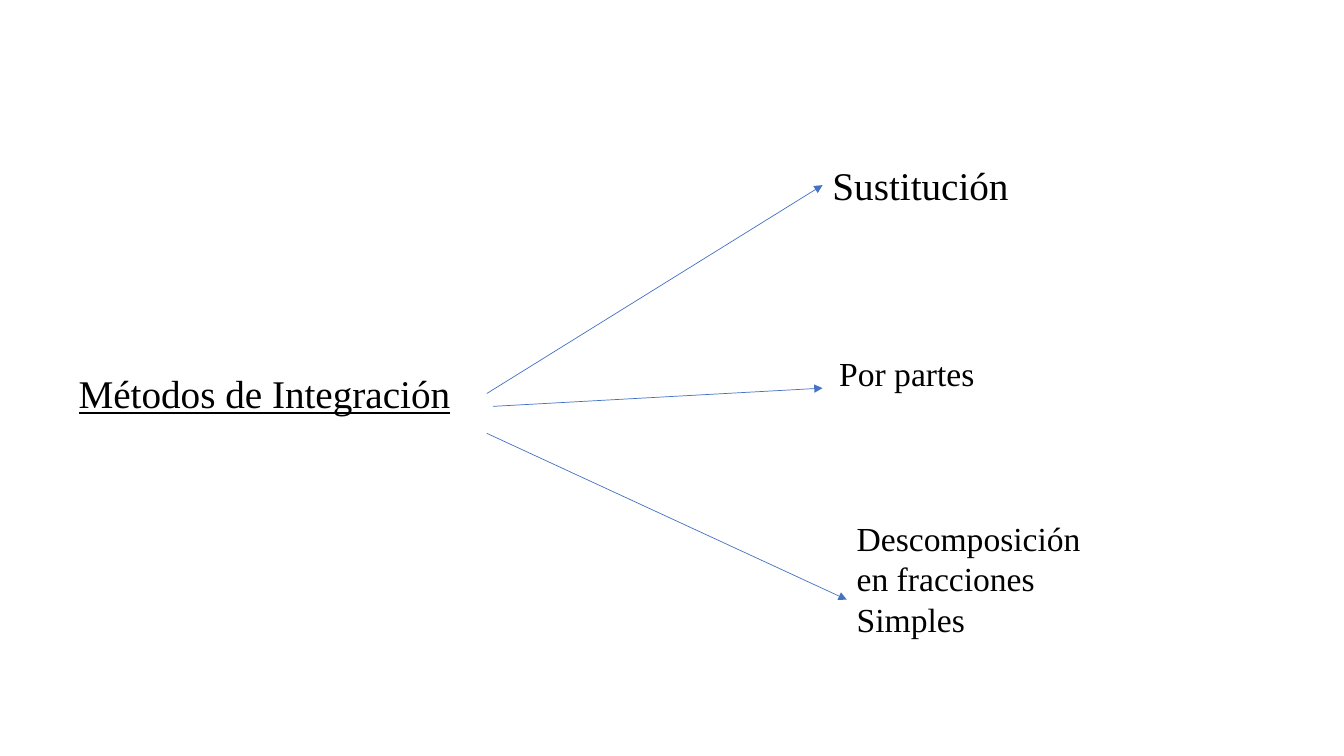
from dataclasses import dataclass

import pptx
import pptx.dml.color
import pptx.enum.shapes
import pptx.oxml
import pptx.oxml.ns
import pptx.util

Cm = pptx.util.Cm
Pt = pptx.util.Pt


@dataclass(frozen=True)
class Theme:
    font: str = "Times New Roman"
    text: str = "000000"
    arrow: str = "4472C4"
    large: int = 28
    medium: int = 24
    arrow_width: float = 0.5


THEME = Theme()


def add_label(slide, box, lines, size, underline=None):
    shape = slide.shapes.add_textbox(*map(Cm, box))
    frame = shape.text_frame
    frame.word_wrap = True
    frame.text = "\n".join(lines)
    for paragraph in frame.paragraphs:
        paragraph.font.name = THEME.font
        paragraph.font.size = Pt(size)
        paragraph.font.underline = underline
        paragraph.font.color.rgb = pptx.dml.color.RGBColor.from_string(THEME.text)
    return shape


def add_arrow(slide, start, end):
    connector = slide.shapes.add_connector(
        pptx.enum.shapes.MSO_CONNECTOR.STRAIGHT, *map(Cm, start + end)
    )
    connector.line.color.rgb = pptx.dml.color.RGBColor.from_string(THEME.arrow)
    connector.line.width = Pt(THEME.arrow_width)
    properties = connector.line._get_or_add_ln()
    head = pptx.oxml.parse_xml(
        f'<a:tailEnd {pptx.oxml.ns.nsdecls("a")} type="triangle"/>'
    )
    properties.append(head)
    effects = pptx.oxml.parse_xml(f'<a:effectLst {pptx.oxml.ns.nsdecls("a")}/>')
    properties.addnext(effects)
    return connector


def add_methods(slide, box):
    left, top, width, height = box
    substitution = add_label(
        slide, (left, top, 5.28, 1.45), ["Sustitución"], THEME.large
    )
    add_label(
        slide, (left + 0.17, top + 4.84, 6.96, 1.28), ["Por partes"], THEME.medium
    )
    fractions_left = left + 0.61
    fractions_top = top + height - 3.33
    add_label(
        slide,
        (fractions_left, fractions_top, left + width - fractions_left, 3.33),
        ["Descomposición", "en fracciones Simples"],
        THEME.medium,
    )
    arrow_ends = [
        (left, top + 0.72),
        (left, top + 5.84),
        (fractions_left, fractions_top + 2.18),
    ]
    return substitution, arrow_ends


def add_method_map(slide, box):
    left, top, width, height = box
    title = add_label(
        slide,
        (left, top + 5.25, 10.54, 1.45),
        ["Métodos de Integración"],
        THEME.large,
        underline=True,
    )
    methods_left = left + 19
    substitution, arrow_ends = add_methods(
        slide, (methods_left, top, left + width - methods_left, height)
    )
    title_right = left + 10.54
    arrow_starts = [
        (title_right, top + 5.97),
        (title_right + 0.15, top + 6.3),
        (title_right, top + 6.98),
    ]
    arrows = [
        add_arrow(slide, start, end) for start, end in zip(arrow_starts, arrow_ends)
    ]
    arrows[0].begin_connect(title, 3)
    arrows[0].end_connect(substitution, 1)


def main():
    presentation = pptx.Presentation()
    presentation.slide_width = Cm(33.87)
    presentation.slide_height = Cm(19.05)
    slide = presentation.slides.add_slide(presentation.slide_layouts[6])
    add_method_map(slide, (1.73, 3.94, 27.41, 12.32))
    presentation.save("out.pptx")


if __name__ == "__main__":
    main()
